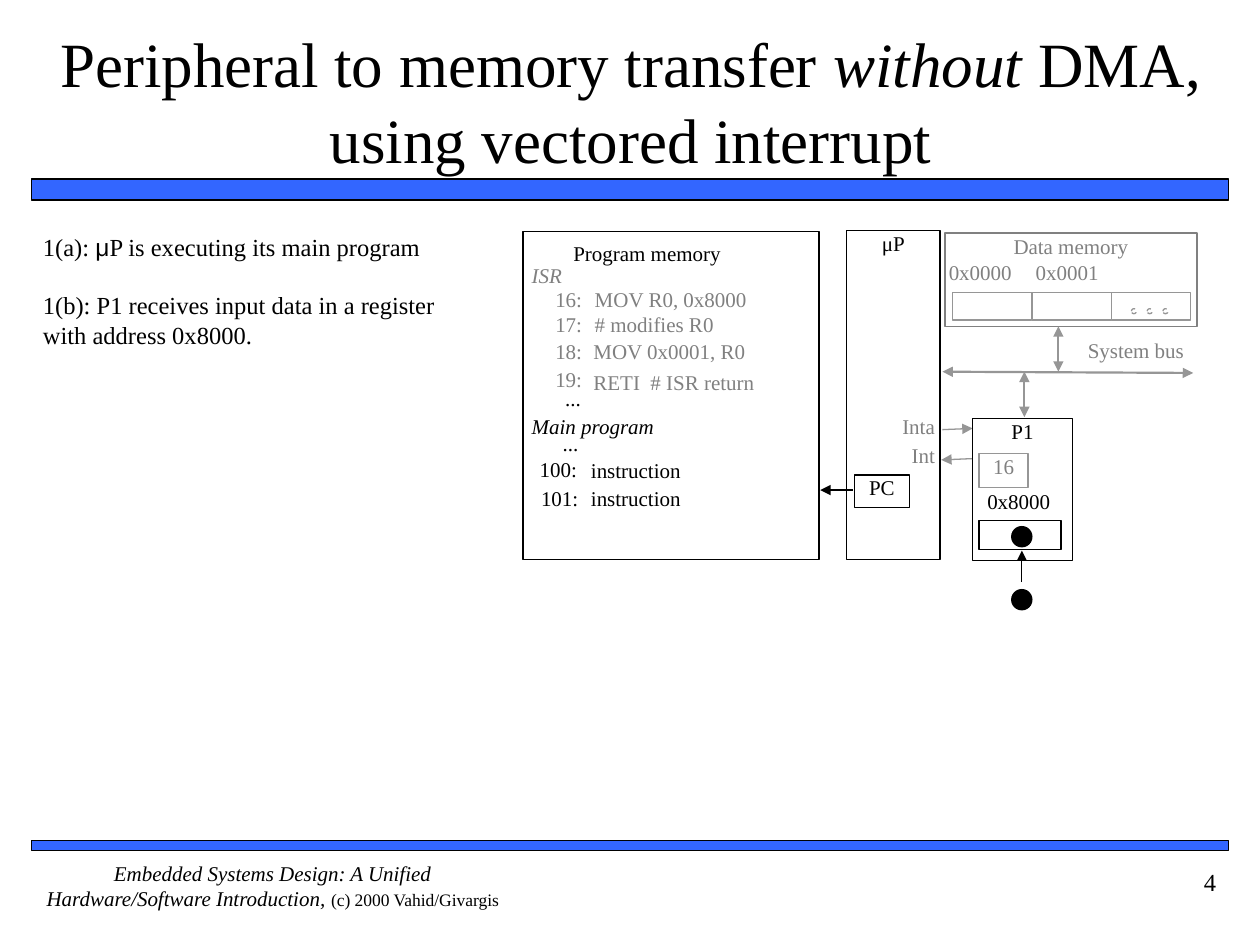
import dataclasses

import lxml.etree
import pptx
import pptx.dml.color
import pptx.enum.dml
import pptx.enum.shapes
import pptx.enum.text
import pptx.oxml.ns
import pptx.util

ALIGN = pptx.enum.text.PP_ALIGN
ANCHOR = pptx.enum.text.MSO_ANCHOR
SHAPE = pptx.enum.shapes.MSO_SHAPE


@dataclasses.dataclass(frozen=True)
class Theme:
    font: str = "Times New Roman"
    symbol_font: str = "Arial"
    ink: str = "000000"
    muted: str = "808080"
    wire: str = "969696"
    bar: str = "3366FF"
    title: float = 36
    body: float = 14
    label: float = 12
    credit: float = 10
    thin: float = 0.75
    bar_line: float = 1
    thick: float = 1.25


THEME = Theme()
SLIDE_WIDTH = pptx.util.Inches(10)
SLIDE_HEIGHT = pptx.util.Inches(7.5)
COLUMNS = 100  # square cells: the slide is 100 columns by 75 rows
CELL = SLIDE_WIDTH // COLUMNS


def cells(*values):
    """Turn grid columns or rows into lengths."""
    return [pptx.util.Emu(round(value * CELL)) for value in values]


def rgb(value):
    return pptx.dml.color.RGBColor.from_string(value)


def add_run(paragraph, text, size=THEME.label, color=THEME.ink, italic=False, font=THEME.font):
    run = paragraph.add_run()
    run.text = text
    run.font.name = font
    run.font.size = pptx.util.Pt(size)
    run.font.italic = italic
    run.font.color.rgb = rgb(color)


def set_frame(shape, align, anchor=ANCHOR.TOP, margins=(0, 0)):
    """Prepare a shape's text frame and return its first paragraph."""
    frame = shape.text_frame
    frame.word_wrap = True
    frame.vertical_anchor = anchor
    frame.margin_left = frame.margin_right = cells(margins[0])[0]
    frame.margin_top = frame.margin_bottom = cells(margins[1])[0]
    frame.paragraphs[0].alignment = align
    return frame.paragraphs[0]


def add_text(slide, box, align=ALIGN.LEFT, anchor=ANCHOR.TOP, margins=(0, 0)):
    """Add an empty text box and return its first paragraph and frame."""
    shape = slide.shapes.add_textbox(*cells(*box))
    return set_frame(shape, align, anchor, margins), shape.text_frame


def add_label(slide, text, box, color=THEME.ink, align=ALIGN.LEFT, italic=False):
    paragraph, _ = add_text(slide, box, align)
    add_run(paragraph, text, color=color, italic=italic)


def add_box(slide, box, line=THEME.ink, fill=None, text="", color=THEME.ink,
            kind=SHAPE.RECTANGLE, width=THEME.thin):
    shape = slide.shapes.add_shape(kind, *cells(*box))
    shape.shadow.inherit = False
    if fill:
        shape.fill.solid()
        shape.fill.fore_color.rgb = rgb(fill)
    else:
        shape.fill.background()
    shape.line.color.rgb = rgb(line)
    shape.line.width = pptx.util.Pt(width)
    if text:
        add_run(set_frame(shape, ALIGN.CENTER), text, color=color)
    return shape


def add_arrow(slide, start, end, color=THEME.wire, width=THEME.thin, both=False):
    connector = slide.shapes.add_connector(
        pptx.enum.shapes.MSO_CONNECTOR.STRAIGHT, *cells(*start, *end))
    connector.line.color.rgb = rgb(color)
    connector.line.width = pptx.util.Pt(width)
    qn = pptx.oxml.ns.qn
    properties = connector._element.spPr
    outline = properties.find(qn("a:ln"))
    for name in ("a:headEnd", "a:tailEnd") if both else ("a:tailEnd",):
        lxml.etree.SubElement(outline, qn(name), type="triangle")
    lxml.etree.SubElement(properties, qn("a:effectLst"))


def add_bars_and_footer(slide):
    for top, height in ((14.2, 1.7), (66.7, 0.8)):
        add_box(slide, (2.5, top, 95, height), fill=THEME.bar, width=THEME.bar_line)
    footer, _ = add_text(slide, (2.5, 68.3, 38.3, 5), ALIGN.CENTER)
    add_run(footer, "Embedded Systems Design: A Unified Hardware/Software Introduction, ",
            italic=True)
    add_run(footer, "(c) 2000 Vahid/Givargis", THEME.credit)
    number, _ = add_text(slide, (87.5, 68.3, 10, 5), ALIGN.RIGHT, margins=(1, 0.5))
    add_run(number, "4", THEME.body)


def add_title(slide):
    title, _ = add_text(slide, (4.2, 1.7, 91.7, 12.5), ALIGN.CENTER, ANCHOR.MIDDLE, (0, 0.5))
    add_run(title, "Peripheral to memory transfer ", THEME.title)
    add_run(title, "without", THEME.title, italic=True)
    add_run(title, " DMA, using vectored interrupt", THEME.title)


def add_steps(slide):
    first, frame = add_text(slide, (3.4, 18.4, 34.2, 9.3))
    add_run(first, "1(a): ", THEME.body)
    add_run(first, "μ", THEME.body, font=THEME.symbol_font)
    add_run(first, "P is executing its main program", THEME.body)
    second = frame.add_paragraph()
    second.space_before = pptx.util.Pt(16.5)
    add_run(second, "1(b): P1 receives input data in a register with address 0x8000.", THEME.body)


def add_program_memory(slide):
    add_box(slide, (41.5, 18.4, 23.5, 26))
    add_label(slide, "Program memory", (45.5, 19.1, 16.1, 3))
    for heading, top, color in (("ISR", 20.8, THEME.muted), ("Main program", 32.8, THEME.ink)):
        add_label(slide, heading, (42.2, top, 13.8, 3), color, italic=True)
    # address, its right edge and top; instruction, its left edge and top
    listing = (
        ("16:", 46.2, 22.7, "MOV R0, 0x8000", 47.2, 22.7, THEME.muted),
        ("17:", 46.2, 24.7, "# modifies R0", 47.2, 24.7, THEME.muted),
        ("18:", 46.2, 26.9, "MOV 0x0001, R0", 47.1, 26.9, THEME.muted),
        ("19:", 46.2, 29.1, "RETI  # ISR return", 47.1, 29.3, THEME.muted),
        ("...", 46.1, 30.6, "", 0, 0, THEME.ink),
        ("...", 45.9, 34.2, "", 0, 0, THEME.ink),
        ("100:", 45.8, 36.2, "instruction", 46.9, 36.3, THEME.ink),
        ("101:", 45.9, 38.5, "instruction", 46.9, 38.5, THEME.ink),
    )
    for address, right, top, code, code_left, code_top, color in listing:
        add_label(slide, address, (right - 4, top, 4, 2.2), color, ALIGN.RIGHT)
        if code:
            add_label(slide, code, (code_left, code_top, 17.5, 2.2), color)


def add_processor(slide):
    add_box(slide, (67.2, 18.3, 7.4, 26.1), text="μP")
    add_box(slide, (67.8, 37.7, 4.4, 2.6), text="PC")
    add_arrow(slide, (67.7, 38.9), (65.1, 38.9), THEME.ink, THEME.thick)
    for name, top in (("Inta", 32.8), ("Int", 35.1)):
        add_label(slide, name, (70.2, top, 4, 2.9), THEME.muted, ALIGN.RIGHT)


def add_data_memory(slide):
    add_box(slide, (75, 18.5, 20, 7.4), THEME.muted, text="Data memory", color=THEME.muted)
    for address, left in (("0x0000", 75.3), ("0x0001", 82.2)):
        add_label(slide, address, (left, 20.6, 6.8, 2.2), THEME.muted)
    for index in range(3):
        add_box(slide, (75.6 + 6.3 * index, 23.2, 6.3, 2.2), THEME.wire)
        dot = add_box(slide, (89.8 + 1.25 * index, 24.5, 0.4, 0.4), THEME.wire, kind=SHAPE.OVAL)
        dot.line.dash_style = pptx.enum.dml.MSO_LINE.DASH


def add_buses(slide):
    add_label(slide, "System bus", (84.9, 26.8, 10.5, 3.1), THEME.muted, ALIGN.CENTER)
    for start, end in (((74.8, 29.5), (94.7, 29.6)),
                       ((81.3, 29.5), (81.3, 33.1)),
                       ((84, 25.9), (84, 29.5))):
        add_arrow(slide, start, end, width=THEME.thick, both=True)
    add_arrow(slide, (74.8, 34.1), (77.2, 34))
    add_arrow(slide, (77.2, 36.4), (74.7, 36.5))


def add_peripheral(slide):
    add_box(slide, (77.2, 33.2, 7.9, 11.3), text="P1")
    add_box(slide, (77.7, 36, 3.9, 2.7), THEME.wire, text="16", color=THEME.muted)
    add_label(slide, "0x8000", (77.4, 38.8, 6.9, 2.7), align=ALIGN.CENTER)
    add_box(slide, (77.7, 41.3, 6.5, 2.3))
    for top in (41.8, 46.8):
        add_box(slide, (80.3, top, 1.6, 1.6), fill=THEME.ink, kind=SHAPE.OVAL)
    add_arrow(slide, (81.1, 46.2), (81.1, 43.7), THEME.ink)


def main():
    presentation = pptx.Presentation()
    presentation.slide_width = SLIDE_WIDTH
    presentation.slide_height = SLIDE_HEIGHT
    slide = presentation.slides.add_slide(presentation.slide_layouts[6])
    for add_part in (add_bars_and_footer, add_title, add_steps, add_program_memory,
                     add_processor, add_data_memory, add_buses, add_peripheral):
        add_part(slide)
    presentation.save("out.pptx")


if __name__ == "__main__":
    main()
